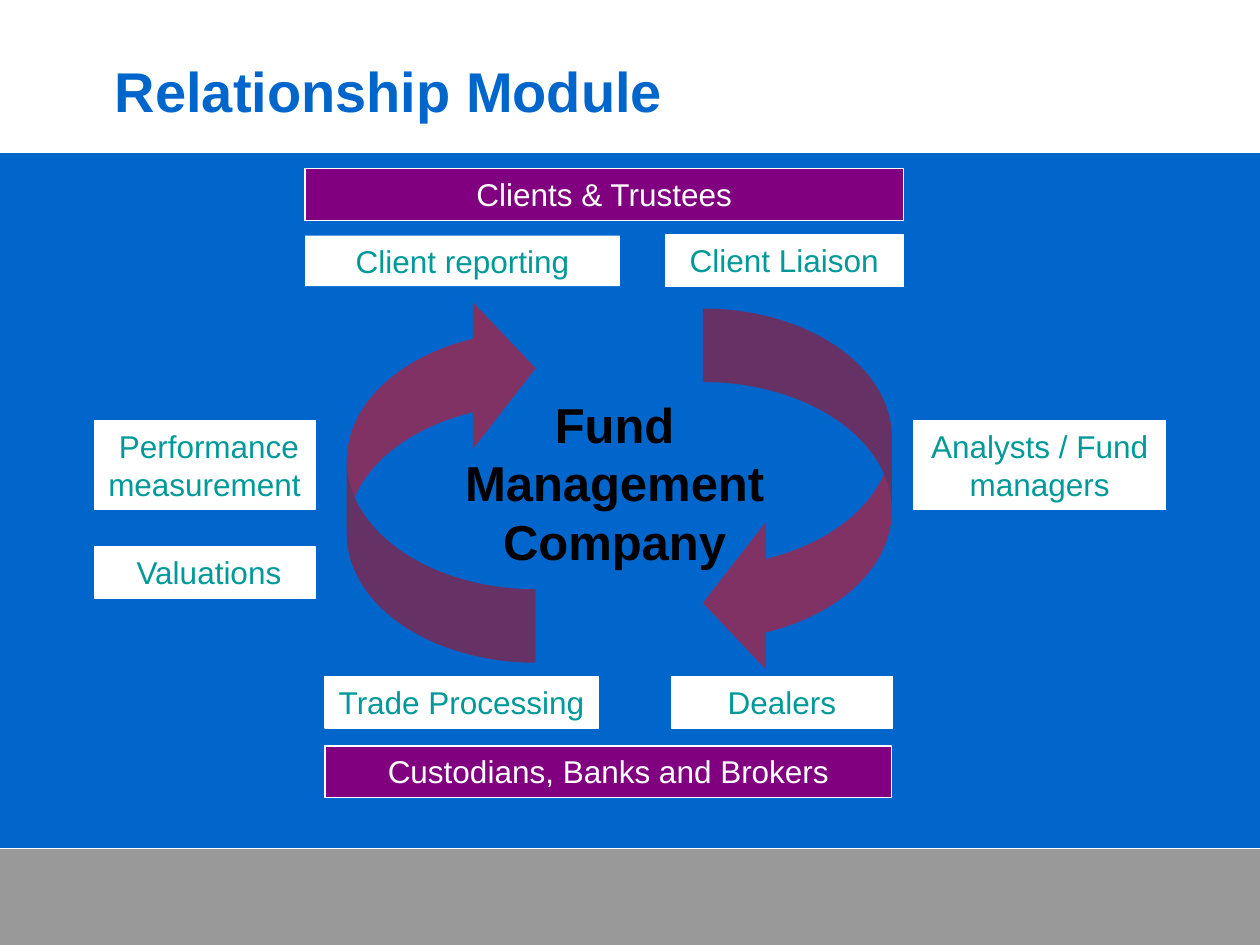
from lxml import etree
from pptx import Presentation
from pptx.dml.color import RGBColor
from pptx.enum.shapes import MSO_CONNECTOR as Connector, MSO_SHAPE as Shape
from pptx.enum.text import MSO_ANCHOR as Anchor, PP_ALIGN as Align
from pptx.oxml.ns import qn
from pptx.util import Cm, Pt

COLOURS = {
    "blue": "0066CC", "white": "FFFFFF", "grey": "999999", "purple": "800080",
    "teal": "009999", "red": "FF0000", "black": "000000",
}
WIDTH, HEIGHT = 25.4, 19.05
ROW = 1.04  # height of a one-line box

# text, left, top, width, height
PARTIES = [
    ("Clients & Trustees", 6.15, 3.4, 12.06, ROW),
    ("Custodians, Banks and Brokers", 6.55, 15.04, 11.43, ROW),
]
ACTIVITIES = [
    ("Trade Processing", 6.55, 13.64, 5.51, ROW),
    ("Dealers", 13.54, 13.64, 4.45, ROW),
    (" Performance measurement", 1.9, 8.48, 4.45, 1.8),
    ("Analysts / Fund managers", 18.42, 8.48, 5.08, 1.8),
    ("Client Liaison", 13.41, 4.74, 4.8, ROW),
    (" Valuations", 1.9, 11.02, 4.45, ROW),
]
# left, top, rotation
ARROWS = [(6.99, 5.94, 180), (14.17, 6.22, 0)]


def colour(name):
    """Return the named colour."""
    return RGBColor.from_string(COLOURS[name])


def write(shape, text, size, colour_name, bold=False, align=Align.CENTER, anchor=Anchor.TOP):
    """Put formatted text into a shape."""
    frame = shape.text_frame
    frame.text = text
    frame.word_wrap = True
    frame.vertical_anchor = anchor
    for paragraph in frame.paragraphs:
        paragraph.alignment = align
        for run in paragraph.runs:
            run.font.name = "Arial"
            run.font.size = Pt(size)
            run.font.bold = bold
            run.font.color.rgb = colour(colour_name)


def add_block(slide, kind, box, fill, line=None):
    """Add a filled preset shape, outlined if a line colour is given."""
    shape = slide.shapes.add_shape(kind, *map(Cm, box))
    shape.shadow.inherit = False
    shape.fill.solid()
    shape.fill.fore_color.rgb = colour(fill)
    if line:
        shape.line.color.rgb = colour(line)
        shape.line.width = Pt(0.75)
    else:
        shape.line.fill.background()
    return shape


def add_label(slide, text, box, fill, text_colour, line="white"):
    """Add a rectangle with a centred label."""
    write(add_block(slide, Shape.RECTANGLE, box, fill, line), text, 18, text_colour)


def add_cycle_arrow(slide, left, top, rotation):
    """Add a half-transparent curved arrow."""
    arrow = add_block(slide, Shape.CURVED_LEFT_ARROW, (left, top, 3.81, 7.42), "red")
    arrow.rotation = rotation
    for index, value in enumerate((0.389, 0.778, 0.333)):
        arrow.adjustments[index] = value
    fill = arrow.element.spPr.find(qn("a:solidFill"))
    etree.SubElement(fill[0], qn("a:alpha"), val="50000")


def add_bands(slide):
    """Add the header, the footer and the footer rule."""
    add_block(slide, Shape.RECTANGLE, (0, 17.12, WIDTH, 1.93), "grey")
    add_block(slide, Shape.RECTANGLE, (0, 0, WIDTH, 3.07), "white", "white")
    rule = slide.shapes.add_connector(
        Connector.STRAIGHT, Cm(0), Cm(17.1), Cm(WIDTH), Cm(17.1))
    rule.line.color.rgb = colour("white")
    rule.line.width = Pt(0.75)
    etree.SubElement(rule.element.spPr, qn("a:effectLst"))


def set_title(slide, text):
    """Place the title in front of the header band."""
    title = slide.shapes.title
    title.left, title.top, title.width, title.height = map(Cm, (2.06, 1.02, 17.93, 1.6))
    write(title, text, 32, "blue", True, Align.LEFT, Anchor.BOTTOM)
    title.element.getparent().append(title.element)


def main():
    """Build and save the slide."""
    presentation = Presentation()
    presentation.slide_width, presentation.slide_height = Cm(WIDTH), Cm(HEIGHT)
    slide = presentation.slides.add_slide(presentation.slide_layouts[5])
    slide.background.fill.solid()
    slide.background.fill.fore_color.rgb = colour("blue")

    add_bands(slide)
    set_title(slide, "Relationship Module")
    for text, *box in PARTIES:
        add_label(slide, text, box, "purple", "white")
    add_label(slide, "Client reporting", (6.15, 4.75, 6.35, 1.02), "white", "teal", None)
    for arrow in ARROWS:
        add_cycle_arrow(slide, *arrow)
    for text, *box in ACTIVITIES:
        add_label(slide, text, box, "white", "teal")
    centre = slide.shapes.add_textbox(*map(Cm, (9.09, 7.82, 6.6, 3.84)))
    write(centre, "Fund Management Company", 28, "black", True)

    presentation.save("out.pptx")


main()
